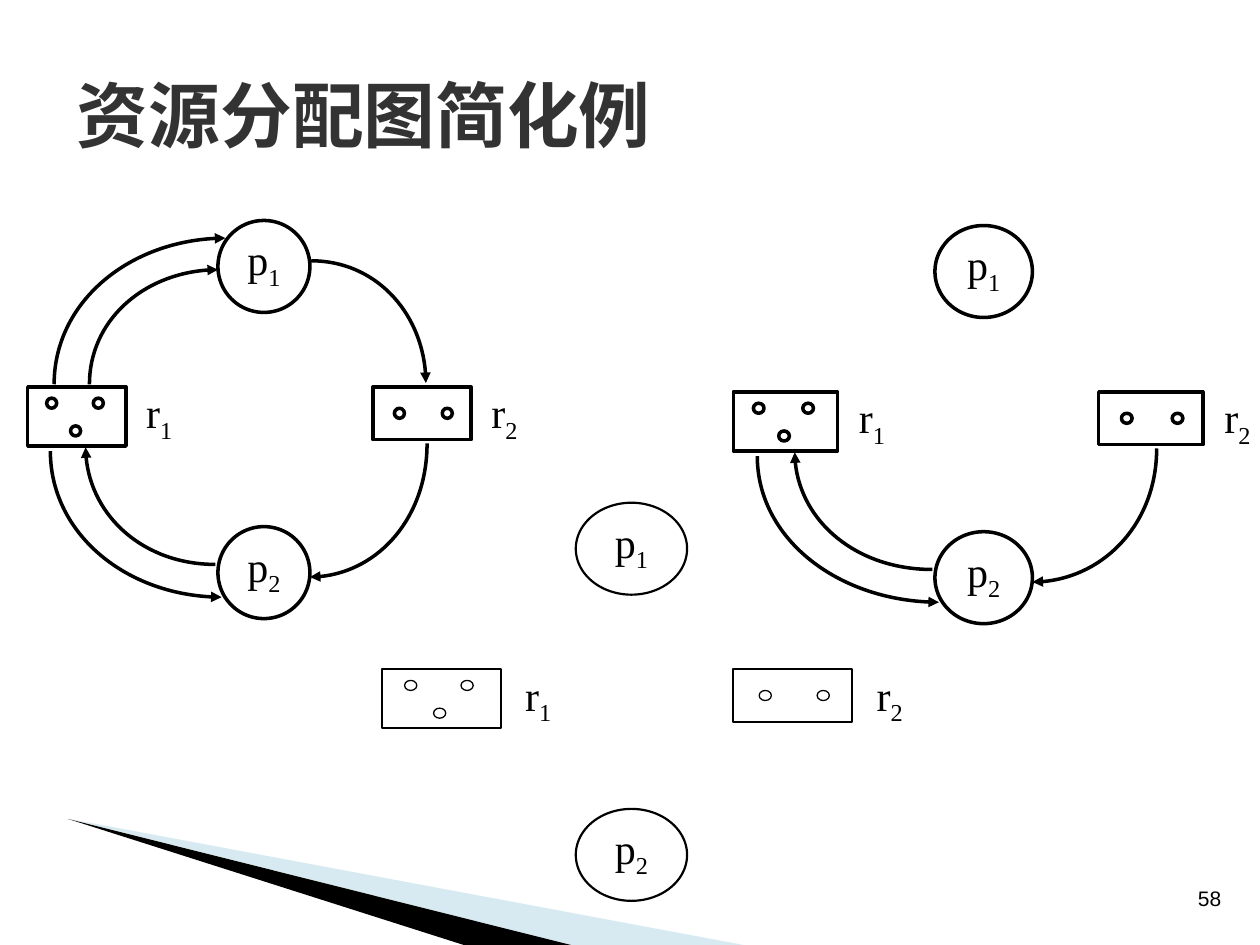
from dataclasses import dataclass

import pptx
import pptx.dml.color
import pptx.enum.shapes
import pptx.enum.text
import pptx.oxml
import pptx.oxml.ns
import pptx.util
from pptx.util import Inches

SHAPE = pptx.enum.shapes.MSO_SHAPE
ALIGN = pptx.enum.text.PP_ALIGN
ANCHOR = pptx.enum.text.MSO_ANCHOR


@dataclass(frozen=True)
class Theme:
    """Colours, fonts and type sizes of the slide."""
    ink: str = "000000"
    paper: str = "FFFFFF"
    heading: str = "333333"
    wedge: str = "9FCBDC"
    heading_font: str = "Noto Sans CJK SC"
    label_font: str = "Times New Roman"
    number_font: str = "Arial"
    heading_size: float = 41
    label_size: float = 24
    number_size: float = 12


@dataclass(frozen=True)
class Graph:
    """Placement, stretch, line weights and edges of one allocation graph."""
    r1_left: float
    p_left: float
    r2_left: float
    top: float
    stretch: float
    weight: float
    dot_weight: float
    edges: tuple = ()


THEME = Theme()
REQUESTS_AND_GRANTS_P2 = (
    ((3.17, 1.77), (2.24, 2.83), False),
    ((1.49, 2.73), (0.46, 1.80), True),
    ((0.18, 1.83), (1.54, 2.99), False),
)
EDGES_P1 = (
    ((0.49, 1.30), (1.51, 0.39), False),
    ((0.21, 1.30), (1.57, 0.14), False),
    ((2.25, 0.32), (3.16, 1.29), True),
)
GRAPHS = (
    Graph(0.22, 1.73, 2.96, 1.75, 1, 2, 2, EDGES_P1 + REQUESTS_AND_GRANTS_P2),
    Graph(5.82, 7.42, 8.72, 1.79, 1.06, 2, 2, REQUESTS_AND_GRANTS_P2),
    Graph(3.03, 4.57, 5.82, 3.99, 1.21, 1.25, 0.75),
)
R1_DOTS = ((0.15, 0.09), (0.52, 0.09), (0.34, 0.31))
R2_DOTS = ((0.17, 0.17), (0.55, 0.17))


def rgb(value):
    """Return a colour object for a hex value."""
    return pptx.dml.color.RGBColor.from_string(value)


def style_font(paragraph, name, size, color, bold=False):
    """Set the font shared by all runs of a paragraph."""
    font = paragraph.font
    font.name, font.size, font.bold = name, pptx.util.Pt(size), bold
    font.color.rgb = rgb(color)


def write_label(frame, letter, index, alignment):
    """Write a letter with a subscript index at the top of a text frame."""
    frame.margin_left = frame.margin_right = frame.margin_top = frame.margin_bottom = 0
    frame.vertical_anchor = ANCHOR.TOP
    frame.word_wrap = True
    paragraph = frame.paragraphs[0]
    paragraph.alignment = alignment
    style_font(paragraph, THEME.label_font, THEME.label_size, THEME.ink)
    paragraph.add_run().text = letter
    subscript = paragraph.add_run()
    subscript.text = str(index)
    subscript.font._element.set("baseline", "-25000")


def add_outlined(slide, kind, left, top, width, height, weight):
    """Add a white shape with a black outline."""
    outlined = slide.shapes.add_shape(
        kind, Inches(left), Inches(top), Inches(width), Inches(height))
    outlined.shadow.inherit = False
    outlined.fill.solid()
    outlined.fill.fore_color.rgb = rgb(THEME.paper)
    outlined.line.color.rgb = rgb(THEME.ink)
    outlined.line.width = pptx.util.Pt(weight)
    return outlined


def add_process(slide, graph, index):
    """Add a labelled process circle."""
    process = add_outlined(slide, SHAPE.OVAL, graph.p_left, graph.top + 2.43 * (index - 1),
                           0.73 * graph.stretch, 0.73, graph.weight)
    write_label(process.text_frame, "p", index, ALIGN.CENTER)


def add_resource(slide, graph, index, left, height, dots):
    """Add a resource box with its unit dots and its label."""
    top = graph.top + 1.32
    add_outlined(slide, SHAPE.RECTANGLE, left, top, 0.78 * graph.stretch, height, graph.weight)
    for x, y in dots:
        add_outlined(slide, SHAPE.OVAL, left + x * graph.stretch, top + y,
                     0.08 * graph.stretch, 0.08, graph.dot_weight)
    label = slide.shapes.add_textbox(Inches(left + 0.94 * graph.stretch), Inches(top),
                                     Inches(0.27 * graph.stretch), Inches(0.42))
    write_label(label.text_frame, "r", index, ALIGN.JUSTIFY)


def add_polygon(slide, points, closed=True):
    """Add a freeform through points given in inches."""
    corners = [(Inches(x), Inches(y)) for x, y in points]
    builder = slide.shapes.build_freeform(*corners[0])
    builder.add_line_segments(corners[1:], close=closed)
    polygon = builder.convert_to_shape()
    polygon.shadow.inherit = False
    return polygon


def add_edge(slide, graph, start, end, leaves_sideways):
    """Add a quarter-ellipse arrow from start to end."""
    start, end = [(graph.r1_left + x * graph.stretch, graph.top + y) for x, y in (start, end)]
    edge = add_polygon(slide, (start, end), closed=False)
    edge.fill.background()
    edge.line.color.rgb = rgb(THEME.ink)
    edge.line.width = pptx.util.Pt(graph.weight)
    corner = (end[0], start[1]) if leaves_sideways else (start[0], end[1])
    controls = [[a + 0.55 * (c - a) for a, c in zip(point, corner)] for point in (start, end)]
    points = "".join(
        f'<a:pt x="{Inches(x) - edge.left}" y="{Inches(y) - edge.top}"/>'
        for x, y in (*controls, end))
    namespace = pptx.oxml.ns.nsdecls("a")
    curve = pptx.oxml.parse_xml(f"<a:cubicBezTo {namespace}>{points}</a:cubicBezTo>")
    straight = edge._element.find(".//" + pptx.oxml.ns.qn("a:lnTo"))
    straight.getparent().replace(straight, curve)
    edge.line._get_or_add_ln().append(
        pptx.oxml.parse_xml(f'<a:tailEnd {namespace} type="triangle"/>'))


def add_wedge(slide, points, color, opacity=100):
    """Add a borderless decorative wedge."""
    wedge = add_polygon(slide, points)
    wedge.fill.solid()
    wedge.fill.fore_color.rgb = rgb(color)
    wedge.line.fill.background()
    if opacity < 100:
        tint = wedge._element.find(".//" + pptx.oxml.ns.qn("a:srgbClr"))
        tint.append(pptx.oxml.parse_xml(
            f'<a:alpha {pptx.oxml.ns.nsdecls("a")} val="{opacity * 1000}"/>'))


def add_title(slide, text):
    """Fill and place the title placeholder."""
    title = slide.shapes.title
    title.left, title.top, title.width, title.height = map(Inches, (0.51, 0.28, 9, 1.25))
    frame = title.text_frame
    frame.text = text
    frame.auto_size = pptx.enum.text.MSO_AUTO_SIZE.NONE
    frame.vertical_anchor = ANCHOR.MIDDLE
    paragraph = frame.paragraphs[0]
    paragraph.alignment = ALIGN.LEFT
    style_font(paragraph, THEME.heading_font, THEME.heading_size, THEME.heading, bold=True)
    paragraph.font._element.append(pptx.oxml.parse_xml(
        f'<a:ea {pptx.oxml.ns.nsdecls("a")} typeface="{THEME.heading_font}"/>'))


def add_page_number(slide, number):
    """Add the page number at the lower right."""
    page = slide.shapes.add_textbox(Inches(9.4), Inches(6.98), Inches(0.4), Inches(0.3))
    frame = page.text_frame
    frame.text = number
    frame.word_wrap = False
    frame.vertical_anchor = ANCHOR.MIDDLE
    frame.paragraphs[0].alignment = ALIGN.CENTER
    style_font(frame.paragraphs[0], THEME.number_font, THEME.number_size, THEME.ink)


def add_graph(slide, graph):
    """Add processes, resources and edges of one graph."""
    for index in (1, 2):
        add_process(slide, graph, index)
    add_resource(slide, graph, 1, graph.r1_left, 0.47, R1_DOTS)
    add_resource(slide, graph, 2, graph.r2_left, 0.42, R2_DOTS)
    for edge in graph.edges:
        add_edge(slide, graph, *edge)


def main():
    """Build and save the slide."""
    deck = pptx.Presentation()
    deck.slide_width, deck.slide_height = Inches(10), Inches(7.5)
    slide = deck.slides.add_slide(deck.slide_layouts[5])
    add_wedge(slide, ((0.55, 6.5), (5.9, 7.5), (4.53, 7.5)), THEME.wedge, opacity=40)
    add_wedge(slide, ((0.54, 6.5), (4.53, 7.5), (3.68, 7.5)), THEME.ink)
    add_page_number(slide, "58")
    add_title(slide, "资源分配图简化例")
    for graph in GRAPHS:
        add_graph(slide, graph)
    deck.save("out.pptx")


if __name__ == "__main__":
    main()
